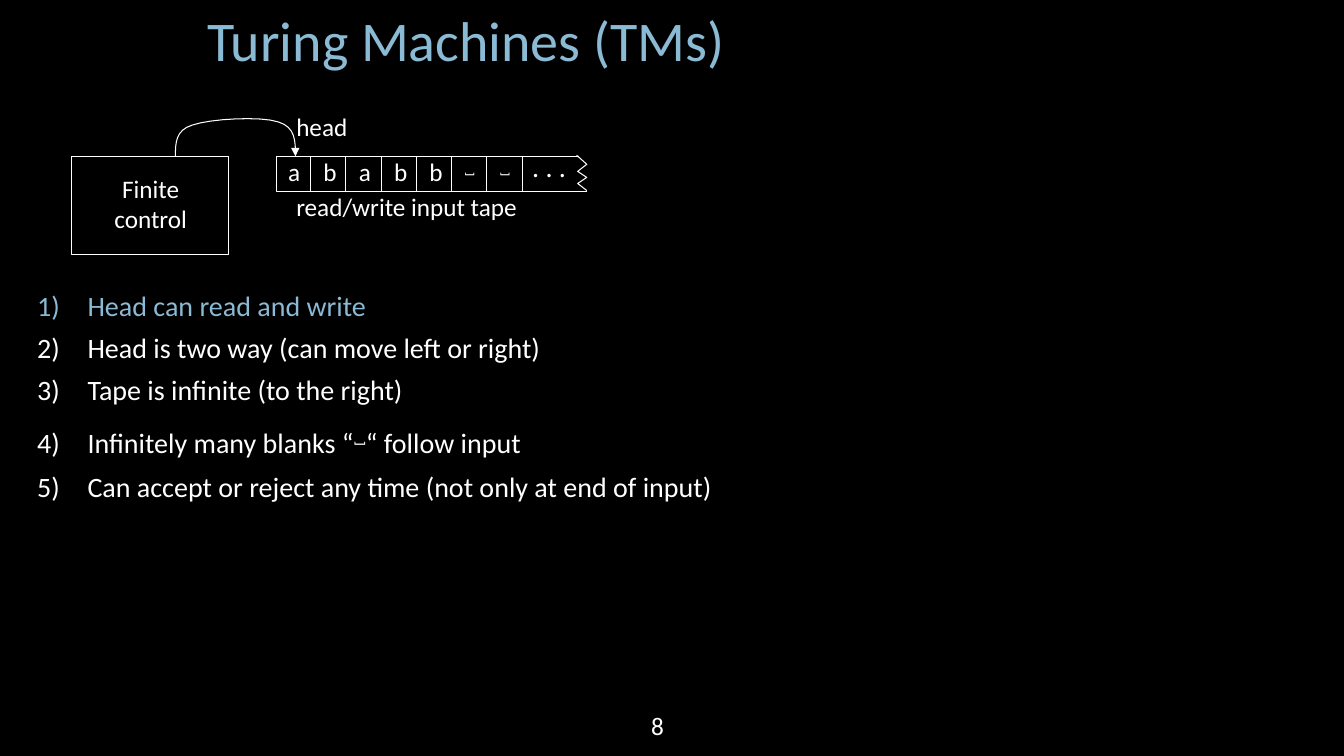
from dataclasses import dataclass

from lxml.etree import SubElement
from pptx import Presentation
from pptx.dml.color import RGBColor
from pptx.enum.shapes import MSO_CONNECTOR, MSO_SHAPE
from pptx.enum.text import MSO_ANCHOR, MSO_AUTO_SIZE, PP_ALIGN
from pptx.oxml.ns import qn
from pptx.util import Inches, Pt

STRAIGHT = MSO_CONNECTOR.STRAIGHT
RECT = MSO_SHAPE.RECTANGLE
TOP = MSO_ANCHOR.TOP
GROW = MSO_AUTO_SIZE.SHAPE_TO_FIT_TEXT
LEFT, CENTER = PP_ALIGN.LEFT, PP_ALIGN.CENTER

COLORS = {"back": "000000", "text": "FFFFFF", "accent": "8ABAD4"}
FONT = "Calibri"
BLANK = "˽"
RAISE = "30000"
STEP = 0.35
TAPE_X, TAPE_TOP, TAPE_END = 2.74, 1.55, 1.9
CELLS = "ababb" + BLANK * 2

Point = tuple[float, float]


@dataclass
class Label:
    text: str
    x: float
    y: float
    w: float
    h: float = 0.4
    size: int = 18
    align: PP_ALIGN = LEFT
    raised: bool = False


LABELS = [
    Label("Finite\vcontrol", 1.03, 1.67, 0.93, 0.71, align=CENTER),
    Label("head", 2.84, 1.06, 0.72),
    Label("read/write input tape", 2.84, 1.85, 2.42),
    Label(". . .", 5.18, 1.43, 0.54, 0.44, size=20),
    Label("8", 6.36, 7, 0.33),
]

RULES = [
    "Head can read and write",
    "Head is two way (can move left or right)",
    "Tape is infinite (to the right)",
    f"Infinitely many blanks “{BLANK}“ follow input",
    "Can accept or reject any time (not only at end of input)",
]

CURVES = [
    [(1.74, 1.55), (1.74, 1.42), (1.74, 1.29), (1.91, 1.24)],
    [(1.91, 1.24), (2.08, 1.18), (2.59, 1.15), (2.76, 1.21)],
    [(2.76, 1.21), (2.93, 1.26), (2.93, 1.4), (2.93, 1.55)],
]


def color(name: str) -> RGBColor:
    return RGBColor.from_string(COLORS[name])


def style_run(run, size: int, tint: str = "text", raised: bool = False) -> None:
    run.font.name = FONT
    run.font.size = Pt(size)
    run.font.color.rgb = color(tint)
    if raised:
        run._r.get_or_add_rPr().set("baseline", RAISE)


def style_line(shape) -> None:
    shape.line.color.rgb = color("text")
    shape.line.width = Pt(0.75)


def add_label(slide, label: Label) -> None:
    box = slide.shapes.add_textbox(
        Inches(label.x), Inches(label.y), Inches(label.w), Inches(label.h))
    frame = box.text_frame
    frame.text = label.text
    frame.word_wrap = False
    frame.auto_size = GROW
    for para in frame.paragraphs:
        para.alignment = label.align
        for run in para.runs:
            style_run(run, label.size, raised=label.raised)


def add_path(slide, points: list[Point]):
    spots = [(Inches(x), Inches(y)) for x, y in points]
    pen = slide.shapes.build_freeform(*spots[0])
    pen.add_line_segments(spots[1:], close=False)
    shape = pen.convert_to_shape()
    shape.shadow.inherit = False
    shape.fill.background()
    style_line(shape)
    return shape


def curve_point(curve: list[Point], t: float) -> Point:
    s = 1 - t
    parts = (s ** 3, 3 * s * s * t, 3 * s * t * t, t ** 3)
    x, y = (sum(p * c for p, c in zip(parts, axis)) for axis in zip(*curve))
    return x, y


def add_title(slide) -> None:
    title = slide.shapes.title
    title.left, title.top = Inches(0), Inches(0)
    title.width, title.height = Inches(9.24), Inches(0.77)
    frame = title.text_frame
    frame.text = "Turing Machines (TMs)"
    frame.word_wrap = True
    frame.auto_size = GROW
    frame.vertical_anchor = TOP
    para = frame.paragraphs[0]
    para.alignment = CENTER
    style_run(para.runs[0], 40, "accent")


def add_rules(slide) -> None:
    box = slide.shapes.add_textbox(
        Inches(0.27), Inches(2.81), Inches(7.53), Inches(2.19))
    frame = box.text_frame
    frame.word_wrap = True
    frame.auto_size = GROW
    for i, rule in enumerate(RULES):
        para = frame.add_paragraph() if i else frame.paragraphs[0]
        para.space_before = Pt(6)
        props = para._p.get_or_add_pPr()
        props.set("marL", str(Inches(0.5)))
        props.set("indent", str(Inches(-0.5)))
        SubElement(props, qn("a:buFont"), typeface="+mj-lt")
        SubElement(props, qn("a:buAutoNum"), type="arabicParenR")
        for part in filter(None, rule.partition(BLANK)):
            run = para.add_run()
            run.text = part
            raised = part == BLANK
            style_run(run, 28 if raised else 20, "text" if i else "accent", raised)


def add_tape(slide) -> None:
    add_path(slide, [(5.82, TAPE_END), (TAPE_X, TAPE_END),
                     (TAPE_X, TAPE_TOP), (5.74, TAPE_TOP)])
    add_path(slide, [(5.82, 1.89), (5.73, 1.82), (5.82, 1.76),
                     (5.73, 1.7), (5.82, 1.63), (5.72, 1.54)])
    for i, mark in enumerate(CELLS):
        x = Inches(3.08 + i * STEP)
        line = slide.shapes.add_connector(
            STRAIGHT, x, Inches(TAPE_TOP), x, Inches(TAPE_END))
        style_line(line)
        SubElement(line._element.spPr, qn("a:effectLst"))
        left = 2.76 + i * STEP
        if mark == BLANK:
            add_label(slide, Label(mark, left, 1.43, 0.32, 0.5, 24, raised=True))
        else:
            add_label(slide, Label(mark, left, 1.5, 0.34 if mark == "b" else 0.32))


def add_control(slide) -> None:
    box = slide.shapes.add_shape(
        RECT, Inches(0.71), Inches(1.55), Inches(1.56), Inches(0.98))
    box.shadow.inherit = False
    box.fill.background()
    style_line(box)
    points = [CURVES[0][0]]
    for curve in CURVES:
        points += [curve_point(curve, n / 8) for n in range(1, 9)]
    head = add_path(slide, points)
    SubElement(head.line._get_or_add_ln(), qn("a:tailEnd"), type="triangle")


def main() -> None:
    deck = Presentation()
    deck.slide_width, deck.slide_height = Inches(13.33), Inches(7.5)
    slide = deck.slides.add_slide(deck.slide_layouts[5])
    fill = slide.background.fill
    fill.solid()
    fill.fore_color.rgb = color("back")
    add_title(slide)
    add_rules(slide)
    add_control(slide)
    add_tape(slide)
    for label in LABELS:
        add_label(slide, label)
    deck.save("out.pptx")


if __name__ == "__main__":
    main()
